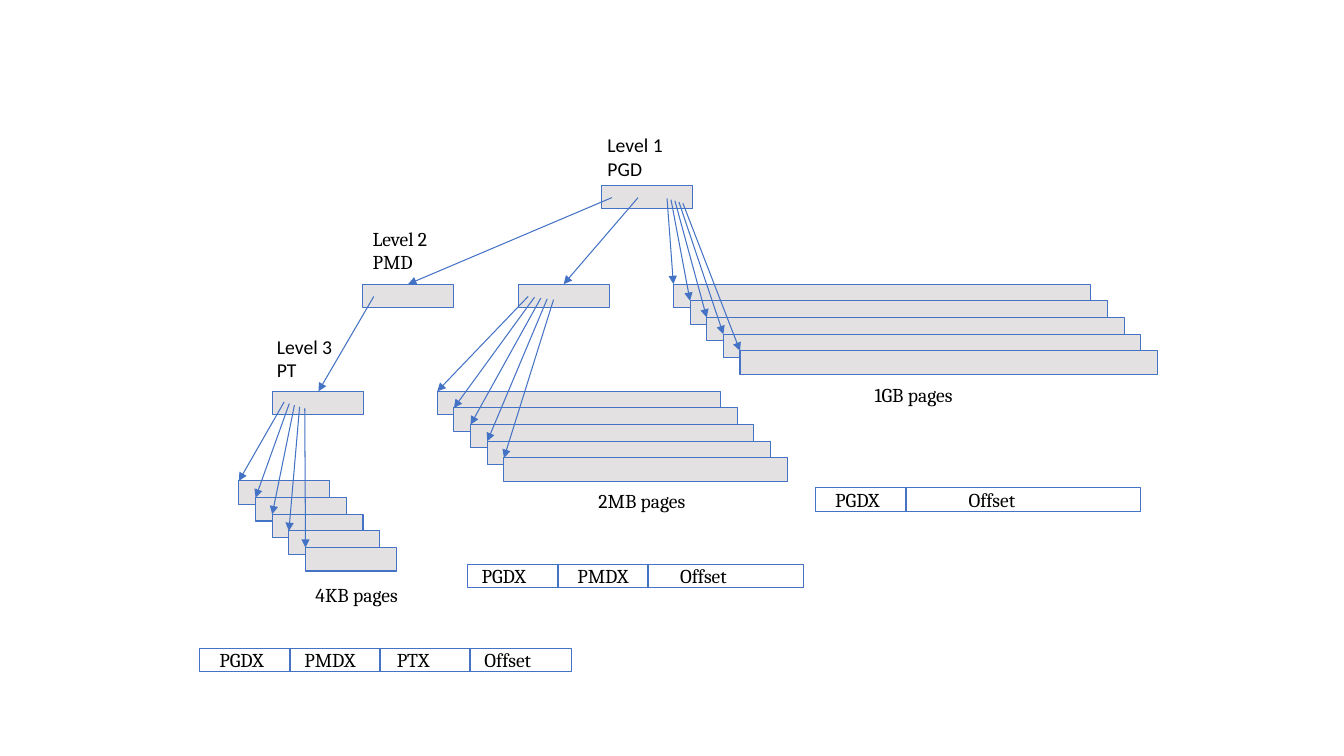
from lxml import etree
from pptx import Presentation
from pptx.dml.color import RGBColor
from pptx.enum.shapes import MSO_CONNECTOR, MSO_SHAPE
from pptx.enum.text import MSO_AUTO_SIZE
from pptx.oxml.ns import qn
from pptx.util import Cm, Pt

RECTANGLE = MSO_SHAPE.RECTANGLE
STRAIGHT = MSO_CONNECTOR.STRAIGHT
FIT_TEXT = MSO_AUTO_SIZE.SHAPE_TO_FIT_TEXT
TOP_SIDE = 0

BLUE = RGBColor(0x44, 0x72, 0xC4)
GRAY = RGBColor(0xE3, 0xE1, 0xE1)
BLACK = RGBColor(0, 0, 0)

BOX_HEIGHT = 0.59
TABLE_WIDTH = 2.29
PAGES_PER_STACK = 5
STACK_STEP = 0.42
FIELD_PITCH = 2.27
LABEL_RISE = 0.25


def add_box(slide, left, top, width, fill=None):
    shape = slide.shapes.add_shape(
        RECTANGLE, Cm(left), Cm(top), Cm(width), Cm(BOX_HEIGHT))
    shape.shadow.inherit = False
    if fill is None:
        shape.fill.background()
    else:
        shape.fill.solid()
        shape.fill.fore_color.rgb = fill
    shape.line.color.rgb = BLUE
    shape.line.width = Pt(0.75)
    return shape


def add_arrow(slide, start, end, target=None):
    connector = slide.shapes.add_connector(
        STRAIGHT, Cm(start[0]), Cm(start[1]), Cm(end[0]), Cm(end[1]))
    if target is not None:
        connector.end_connect(target, TOP_SIDE)
    connector.line.color.rgb = BLUE
    connector.line.width = Pt(0.75)
    line = connector.line._get_or_add_ln()
    etree.SubElement(line, qn("a:tailEnd"), type="triangle")
    etree.SubElement(connector._element.spPr, qn("a:effectLst"))


def add_label(slide, text, left, top, width, height=1.12, font="Cambria"):
    shape = slide.shapes.add_textbox(Cm(left), Cm(top), Cm(width), Cm(height))
    frame = shape.text_frame
    frame.word_wrap = True
    frame.auto_size = FIT_TEXT
    frame.margin_left = frame.margin_right = Cm(0.25)
    frame.margin_top = frame.margin_bottom = Cm(0.25)
    frame.text = text
    for paragraph in frame.paragraphs:
        for run in paragraph.runs:
            run.font.name = font
            run.font.size = Pt(14)
            run.font.color.rgb = BLACK


def add_page_stack(slide, left, top, width):
    corners = [(left + i * STACK_STEP, top + i * STACK_STEP)
               for i in range(PAGES_PER_STACK)]
    for corner in corners:
        add_box(slide, *corner, width, fill=GRAY)
    return corners


def add_page_arrows(slide, corners, start, step):
    for i, corner in enumerate(corners):
        add_arrow(slide, (start[0] + i * step[0], start[1] + i * step[1]), corner)


def add_address(slide, left, top, offset_width, fields):
    for i, (name, indent) in enumerate(fields):
        field_left = left + i * FIELD_PITCH
        width = offset_width if name == "Offset" else TABLE_WIDTH
        add_box(slide, field_left, top, width)
        label_width = 2.03 if name in ("PMDX", "Offset") else 1.78
        add_label(slide, name, field_left + indent, top - LABEL_RISE, label_width)


def main():
    presentation = Presentation()
    presentation.slide_width = Cm(33.87)
    presentation.slide_height = Cm(19.05)
    slide = presentation.slides.add_slide(presentation.slide_layouts[6])

    small_pages = add_page_stack(slide, 6.02, 12.12, TABLE_WIDTH)
    medium_pages = add_page_stack(slide, 11.02, 9.86, 7.14)
    large_pages = add_page_stack(slide, 16.97, 7.16, 10.52)

    add_box(slide, 15.16, 4.67, TABLE_WIDTH, fill=GRAY)
    left_pmd = add_box(slide, 9.14, 7.16, TABLE_WIDTH, fill=GRAY)
    right_pmd = add_box(slide, 13.06, 7.16, TABLE_WIDTH, fill=GRAY)
    page_table = add_box(slide, 6.88, 9.86, TABLE_WIDTH, fill=GRAY)

    add_arrow(slide, (15.42, 4.98), (10.29, 7.16), target=left_pmd)
    add_arrow(slide, (16.08, 4.98), (14.2, 7.16), target=right_pmd)
    add_arrow(slide, (9.42, 7.47), (8.03, 9.86), target=page_table)
    add_page_arrows(slide, large_pages, (16.81, 5), (0.1, 0.03))
    add_page_arrows(slide, medium_pages, (13.31, 7.47), (0.16, 0.02))
    add_page_arrows(slide, small_pages, (7.16, 10.13), (0.13, 0.04))

    add_label(slide, "Level 1\nPGD", 15.06, 3.1, 2.57, height=1.7, font="Calibri")
    add_label(slide, "Level 2 PMD", 9.14, 5.46, 2.57, height=1.7)
    add_label(slide, "Level 3\nPT", 6.73, 8.18, 2.57, height=1.7, font="Calibri")
    add_label(slide, "4KB pages", 7.7, 14.45, 2.72)
    add_label(slide, "2MB pages", 14.83, 12.07, 3)
    add_label(slide, "1GB pages", 21.79, 9.4, 3)

    add_address(slide, 5.03, 16.33, 2.57,
                [("PGDX", 0.25), ("PMDX", 0.12), ("PTX", 0.18), ("Offset", 0.12)])
    add_address(slide, 11.78, 14.22, 3.94,
                [("PGDX", 0.11), ("PMDX", 0.25), ("Offset", 0.57)])
    add_address(slide, 20.55, 12.29, 5.92, [("PGDX", 0.25), ("Offset", 1.34)])

    presentation.save("out.pptx")


if __name__ == "__main__":
    main()
